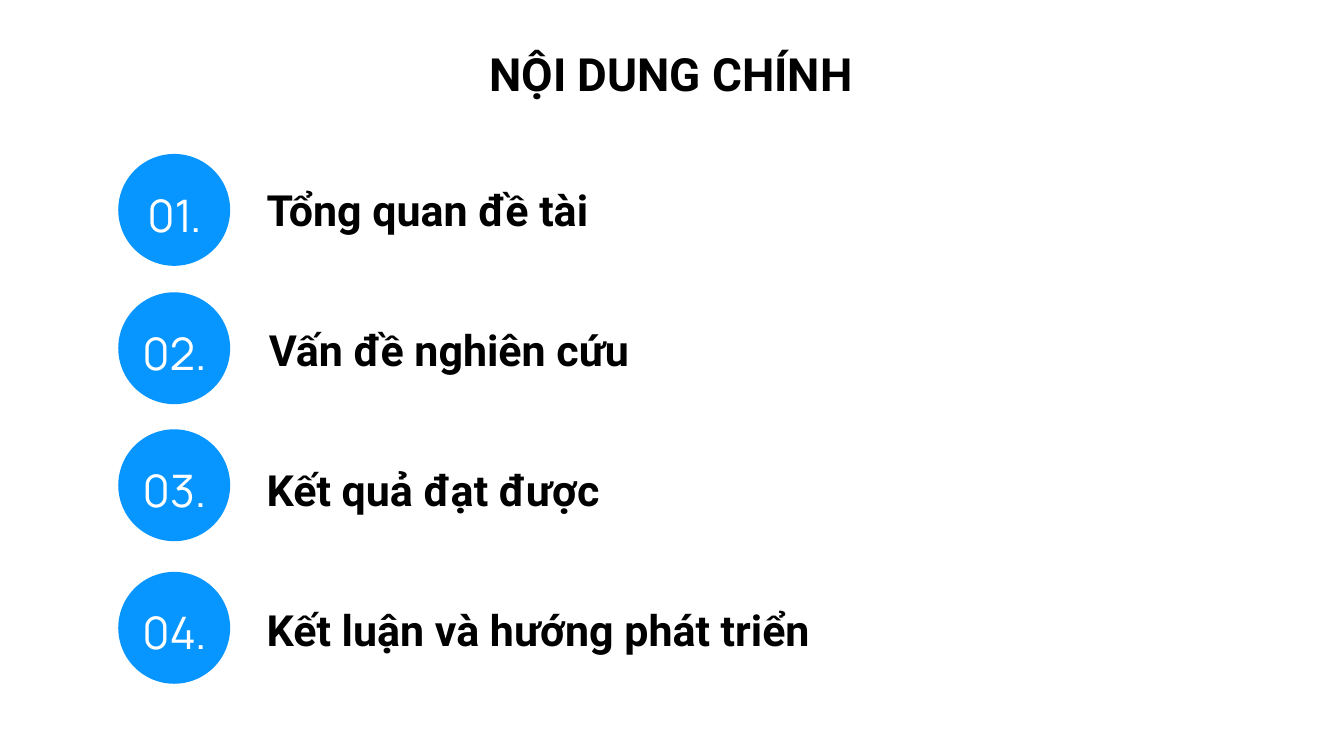
from pptx import Presentation
from pptx.dml.color import RGBColor
from pptx.enum.shapes import MSO_SHAPE
from pptx.enum.text import MSO_AUTO_SIZE, PP_ALIGN
from pptx.util import Cm, Pt

OVAL = MSO_SHAPE.OVAL
GROW = MSO_AUTO_SIZE.SHAPE_TO_FIT_TEXT
LEFT, MID = PP_ALIGN.LEFT, PP_ALIGN.CENTER

BLUE = RGBColor(0x07, 0x95, 0xFF)
BLACK = RGBColor(0, 0, 0)
WHITE = RGBColor(0xFF, 0xFF, 0xFF)

deck = Presentation()
deck.slide_width, deck.slide_height = Cm(50.8), Cm(28.58)
slide = deck.slides.add_slide(deck.slide_layouts[6])


def add_text(words, x, y, w, h, font, size, line, color, bold=False, align=LEFT):
    box = slide.shapes.add_textbox(Cm(x), Cm(y), Cm(w), Cm(h))
    frame = box.text_frame
    frame.margin_left = frame.margin_right = 0
    frame.margin_top = frame.margin_bottom = 0
    frame.word_wrap = True
    frame.auto_size = GROW
    para = frame.paragraphs[0]
    para.alignment = align
    para.line_spacing = Pt(line)
    run = para.add_run()
    run.text = words
    run.font.name = font
    run.font.size = Pt(size)
    run.font.bold = bold
    run.font.color.rgb = color


# Title
add_text("NỘI DUNG CHÍNH", 18.49, 1.45, 15.16, 2.18, "Roboto", 49, 67.2, BLACK, True)

# Agenda: circle top, label left, label width, label
items = [
    (5.82, 10.08, 13.26, "Tổng quan đề tài"),
    (11.05, 10.16, 15.24, "Vấn đề nghiên cứu"),
    (16.23, 10.08, 14.53, "Kết quả đạt được"),
    (21.62, 10.08, 22.12, "Kết luận và hướng phát triển"),
]
for i, (top, left, width, label) in enumerate(items):
    # Numbered circle
    disc = slide.shapes.add_shape(OVAL, Cm(4.47), Cm(top), Cm(4.23), Cm(4.23))
    disc.shadow.inherit = False
    disc.fill.solid()
    disc.fill.fore_color.rgb = BLUE
    disc.line.fill.background()
    add_text(f"{i + 1:02}.", 4.98, top + 0.92, 3.23, 2.41,
             "Manrope", 48, 67.2, WHITE, align=MID)
    # Label, evenly spaced
    add_text(label, left, 6.68 + 5.29 * i, width, 2.11, "Roboto", 46, 63, BLACK, True)

deck.save("out.pptx")
